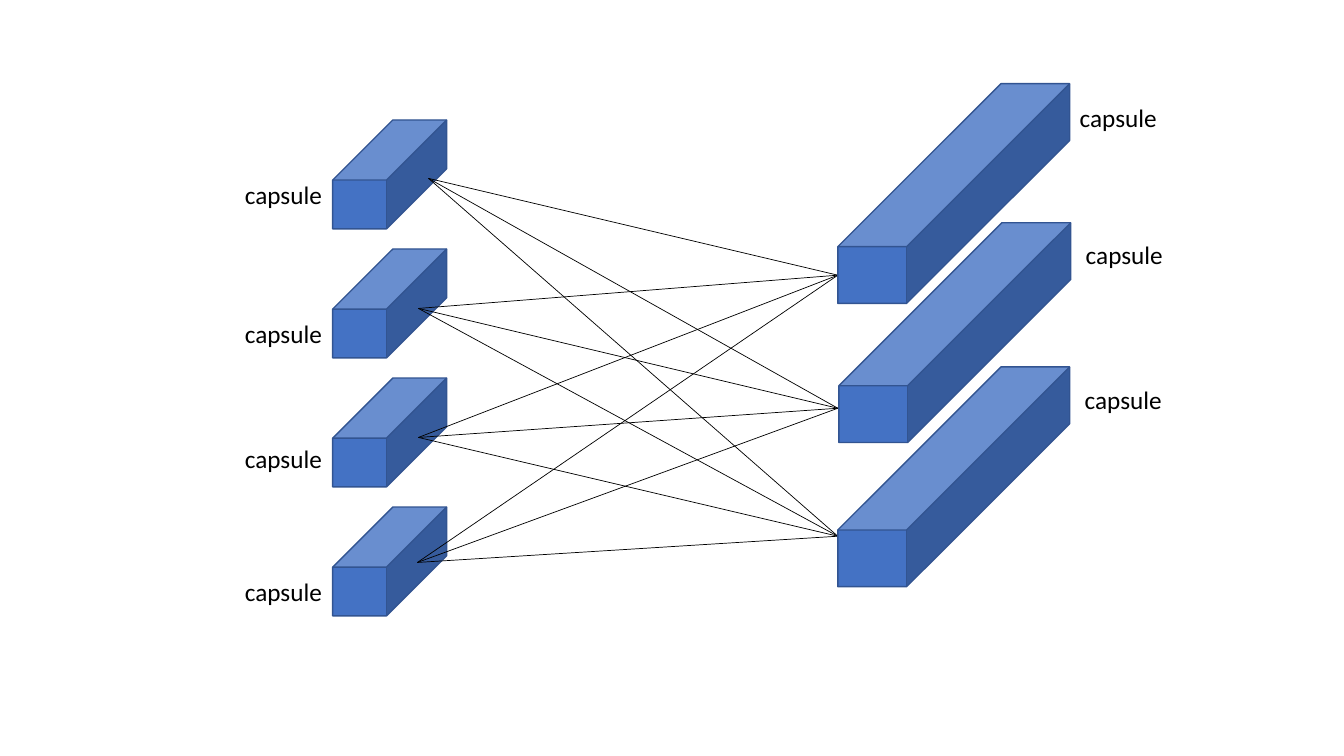
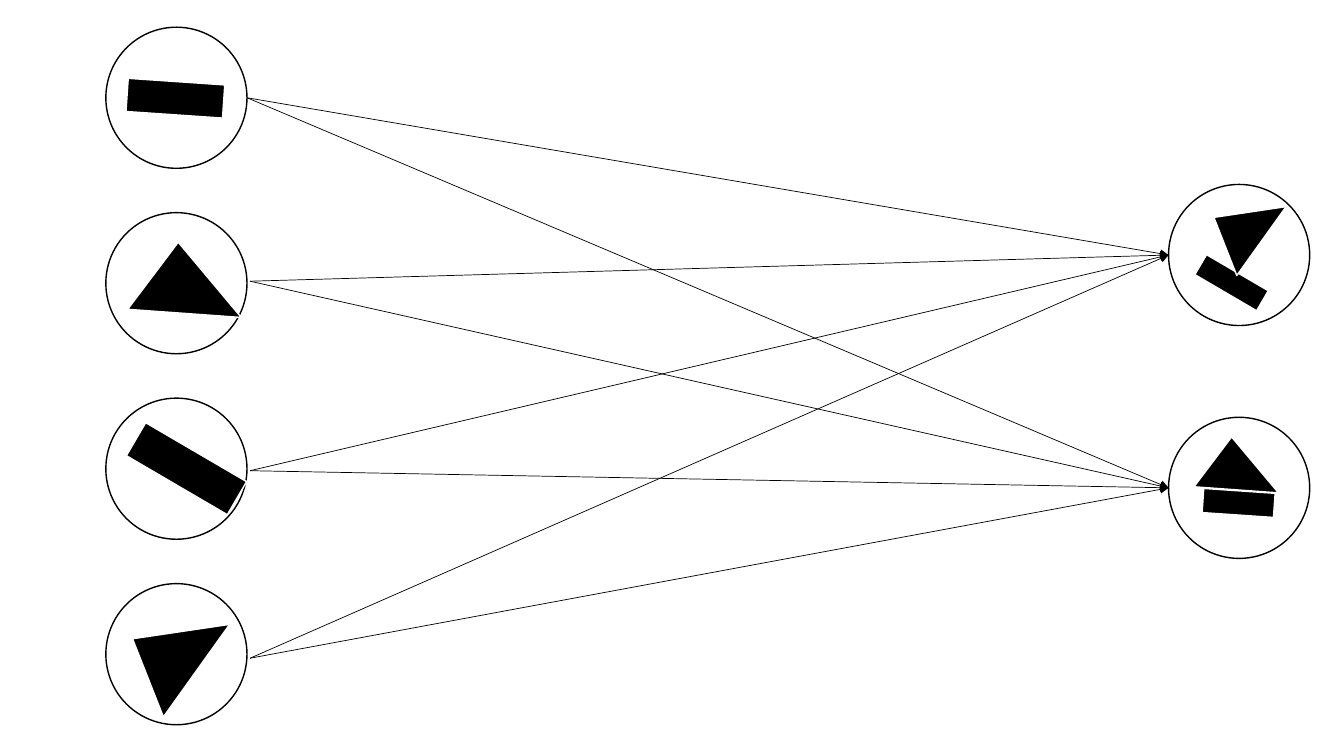
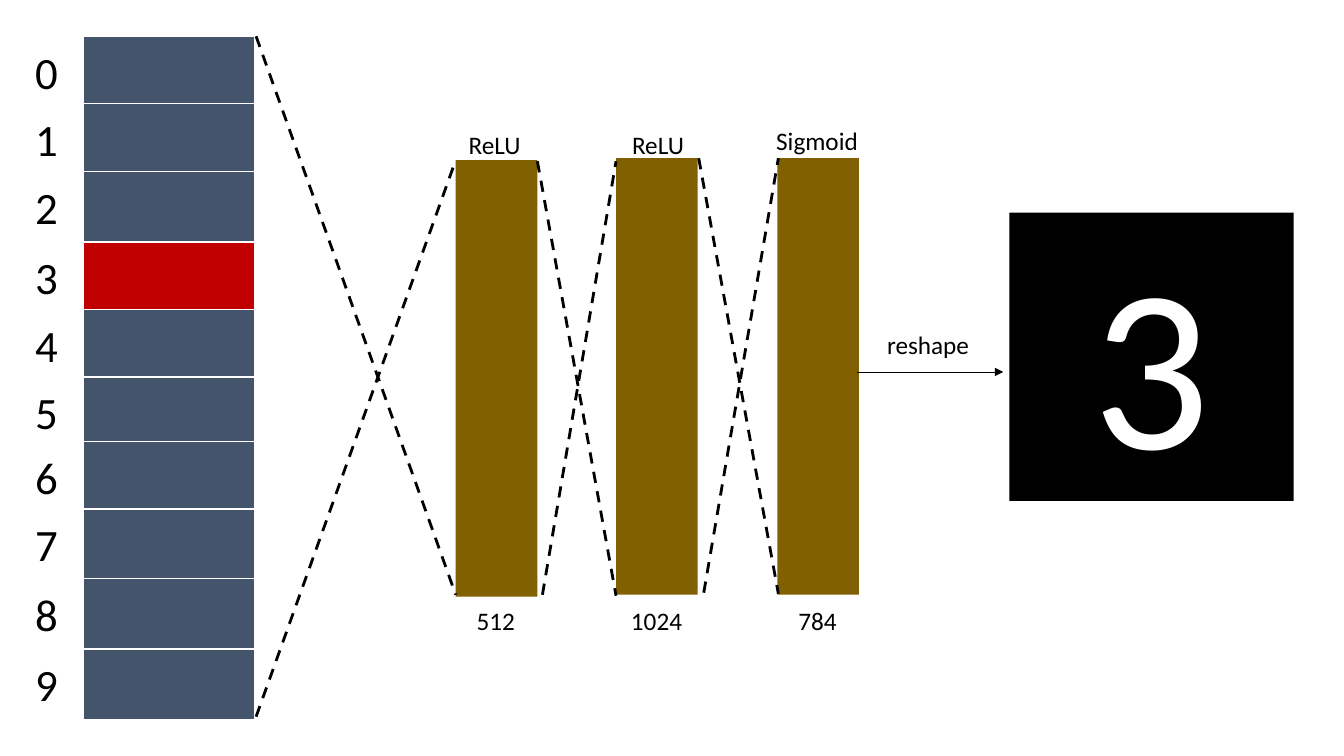
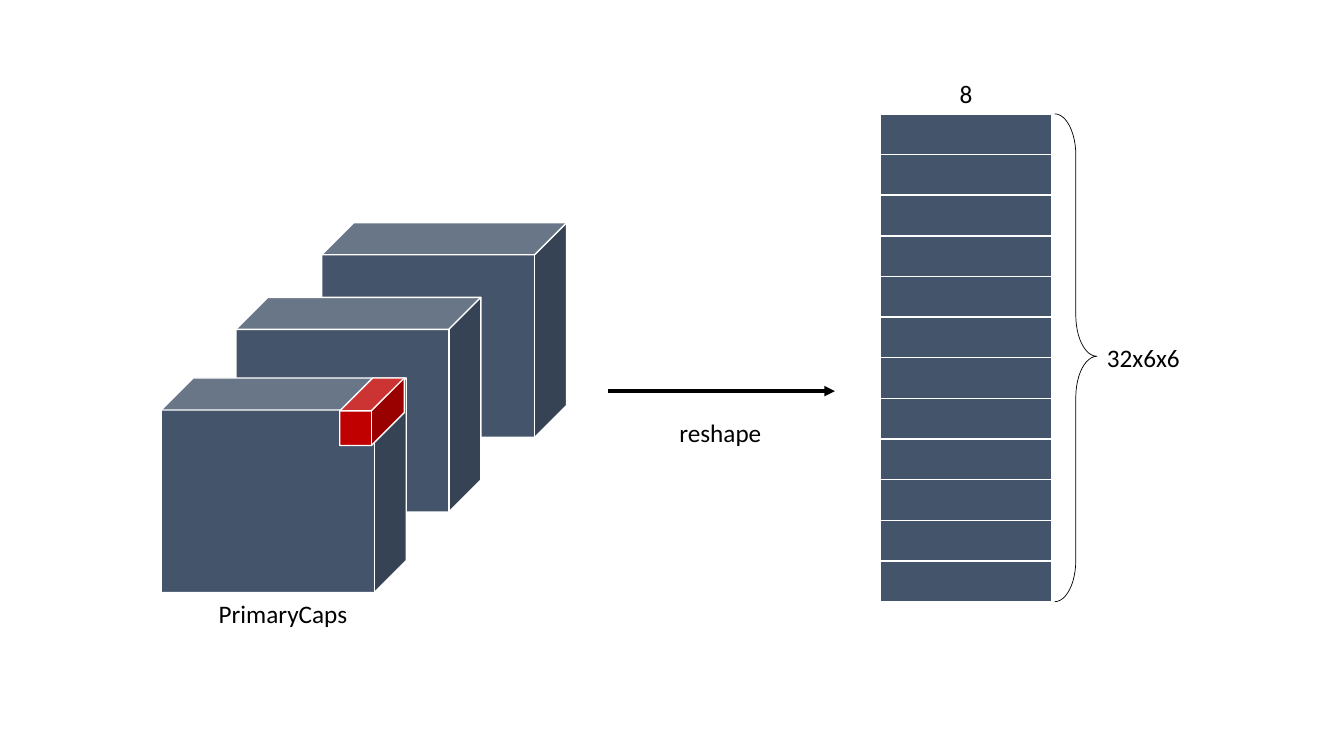
from dataclasses import dataclass

import lxml.etree
import pptx
import pptx.dml.color
import pptx.enum.dml
import pptx.enum.shapes
import pptx.enum.text
import pptx.oxml.ns
import pptx.util

Inches = pptx.util.Inches
Pt = pptx.util.Pt
RGBColor = pptx.dml.color.RGBColor
Preset = pptx.enum.shapes.MSO_SHAPE

# Shared style
BLACK = RGBColor(0x00, 0x00, 0x00)
WHITE = RGBColor(0xFF, 0xFF, 0xFF)
BLUE = RGBColor(0x44, 0x72, 0xC4)
DARK_BLUE = RGBColor(0x32, 0x54, 0x91)
SLATE = RGBColor(0x44, 0x54, 0x6A)
RED = RGBColor(0xC0, 0x00, 0x00)
BROWN = RGBColor(0x80, 0x60, 0x00)
FONT = "Calibri"
LABEL_HEIGHT = 0.4


@dataclass
class Box:
    """A rectangle in inches."""
    left: float
    top: float
    width: float
    height: float

    @property
    def right(self):
        return self.left + self.width

    @property
    def bottom(self):
        return self.top + self.height

    def inner(self, left, top, width, height):
        """A box placed relative to this one's corner."""
        return Box(self.left + left, self.top + top, width, height)


# Basic parts
def set_font(paragraph, size, color):
    paragraph.font.name = FONT
    paragraph.font.size = Pt(size)
    paragraph.font.color.rgb = color


def add_shape(slide, preset, box, fill=None, line=None, line_width=1,
              adjustments=(), rotation=0):
    shape = slide.shapes.add_shape(preset, Inches(box.left), Inches(box.top),
                                   Inches(box.width), Inches(box.height))
    shape.shadow.inherit = False
    shape.rotation = rotation
    for index, value in enumerate(adjustments):
        shape.adjustments[index] = value
    if fill is None:
        shape.fill.background()
    else:
        shape.fill.solid()
        shape.fill.fore_color.rgb = fill
    if line is None:
        shape.line.fill.background()
    else:
        shape.line.color.rgb = line
        shape.line.width = Pt(line_width)
    return shape


def add_label(slide, text, left, top, width, height=LABEL_HEIGHT, size=18):
    label = slide.shapes.add_textbox(Inches(left), Inches(top),
                                     Inches(width), Inches(height))
    frame = label.text_frame
    frame.word_wrap = False
    frame.auto_size = pptx.enum.text.MSO_AUTO_SIZE.SHAPE_TO_FIT_TEXT
    frame.text = text
    set_font(frame.paragraphs[0], size, BLACK)


def add_line(slide, start, end, width=0.5, dashed=False, arrow=False):
    connector = slide.shapes.add_connector(
        pptx.enum.shapes.MSO_CONNECTOR.STRAIGHT,
        *(Inches(value) for value in (*start, *end)))
    connector.line.color.rgb = BLACK
    connector.line.width = Pt(width)
    if dashed:
        connector.line.dash_style = pptx.enum.dml.MSO_LINE.DASH
    properties = connector._element.spPr
    qualified = pptx.oxml.ns.qn
    if arrow:
        lxml.etree.SubElement(properties.find(qualified("a:ln")),
                              qualified("a:tailEnd"), type="triangle")
    lxml.etree.SubElement(properties, qualified("a:effectLst"))


def connect_all(slide, starts, ends, arrow=False):
    for start in starts:
        for end in ends:
            add_line(slide, start, end, arrow=arrow)


# Slide 1: capsule layers
def add_input_capsules(slide, box):
    for row, label_top in enumerate((0.54, 1.92, 3.16, 4.48)):
        cube = box.inner(0.97, row * 1.28, 1.13, 1.08)
        add_shape(slide, Preset.CUBE, cube, BLUE, DARK_BLUE, adjustments=[0.552])
        add_label(slide, "capsule", box.left, box.top + label_top, 0.98)


def add_output_capsules(slide, box):
    cubes = ((0, 0), (0.01, 1.38), (0, 2.81))
    labels = ((2.3, 0.14), (2.36, 1.5), (2.35, 2.93))
    for cube, label in zip(cubes, labels):
        add_shape(slide, Preset.CUBE, box.inner(*cube, 2.3, 2.18), BLUE,
                  DARK_BLUE, adjustments=[0.742])
        add_label(slide, "capsule", box.left + label[0], box.top + label[1], 0.98)


def build_capsule_slide(slide):
    add_input_capsules(slide, Box(2.33, 1.19, 2.1, 4.92))
    starts = ((4.25, 1.77), (4.15, 3.06), (4.15, 4.34), (4.14, 5.58))
    connect_all(slide, starts, [(8.31, top) for top in (2.73, 4.05, 5.32)])
    add_output_capsules(slide, Box(8.31, 0.83, 3.33, 4.99))


# Slide 2: simple figures combined into composed figures
def add_figure(slide, preset, box, rotation):
    adjustments = [0.401] if preset == Preset.ISOSCELES_TRIANGLE else []
    add_shape(slide, preset, box, BLACK, WHITE, adjustments=adjustments,
              rotation=rotation)


def add_circle(slide, box):
    add_shape(slide, Preset.OVAL, box, line=BLACK)


def add_simple_figures(slide, box):
    figures = (
        (Preset.RECTANGLE, (0.21, 0.54, 0.96, 0.33), 3.9),
        (Preset.ISOSCELES_TRIANGLE, (0.24, 0.3, 1.13, 0.7), 4.1),
        (Preset.RECTANGLE, (0.22, 0.51, 1.16, 0.38), 30.3),
        (Preset.ISOSCELES_TRIANGLE, (0.05, 0.31, 1.13, 0.7), 305.6),
    )
    for row, (preset, place, rotation) in enumerate(figures):
        circle = box.inner(0, row * 1.84, box.width, box.width)
        add_circle(slide, circle)
        add_figure(slide, preset, circle.inner(*place), rotation)


def add_composed_figures(slide, box):
    figures = (
        ((0.27, 0.86, 0.71, 0.23), 30.3, (0.29, 0.15, 0.84, 0.52), 305.6),
        ((0.34, 0.73, 0.71, 0.24), 3.9, (0.27, 0.2, 0.84, 0.52), 4.1),
    )
    for row, (bar, bar_turn, triangle, triangle_turn) in enumerate(figures):
        circle = box.inner(0, row * 2.31, box.width, box.width)
        add_figure(slide, Preset.RECTANGLE, circle.inner(*bar), bar_turn)
        add_figure(slide, Preset.ISOSCELES_TRIANGLE, circle.inner(*triangle),
                   triangle_turn)
        add_circle(slide, circle)


def build_figure_slide(slide):
    add_simple_figures(slide, Box(1.05, 0.27, 1.4, 6.92))
    add_composed_figures(slide, Box(11.59, 1.83, 1.4, 3.71))
    starts = ((2.45, 0.97), (2.48, 2.79), (2.48, 4.67), (2.48, 6.53))
    connect_all(slide, starts, ((11.59, 2.53), (11.59, 4.84)), arrow=True)


# Slide 3: decoder
def add_digit_rows(slide, box, selected):
    tops = (0, 0.67, 1.34, 2.04, 2.71, 3.38, 4.02, 4.69, 5.38, 6.08)
    for digit, top in enumerate(tops):
        add_shape(slide, Preset.RECTANGLE, box.inner(0.58, top, 1.7, 0.7),
                  RED if digit == selected else SLATE, WHITE)
        add_label(slide, str(digit), box.left, box.top + top + 0.03, 0.43,
                  0.64, size=32)


def add_dense_layer(slide, box, activation, activation_place, size, size_place):
    """Bar with labels; each place is (offset from the bar, top, width)."""
    add_shape(slide, Preset.RECTANGLE, box, BROWN)
    for text, (offset, top, width) in ((activation, activation_place),
                                       (size, size_place)):
        add_label(slide, text, box.left + offset, top, width)


def add_crossing(slide, upper, lower, end_left, end_top, end_bottom):
    """Dashed lines from both ends of one layer to the far ends of the next."""
    add_line(slide, upper, (end_left, end_bottom), 2, dashed=True)
    add_line(slide, lower, (end_left, end_top), 2, dashed=True)


def add_digit_output(slide, box, digit):
    shape = add_shape(slide, Preset.RECTANGLE, box, BLACK)
    frame = shape.text_frame
    frame.word_wrap = True
    frame.vertical_anchor = pptx.enum.text.MSO_ANCHOR.MIDDLE
    frame.text = digit
    frame.paragraphs[0].alignment = pptx.enum.text.PP_ALIGN.CENTER
    set_font(frame.paragraphs[0], 166, WHITE)


def build_decoder_slide(slide):
    add_digit_rows(slide, Box(0.25, 0.36, 2.28, 6.78), selected=3)
    layers = (
        (4.52, 1.59, "ReLU", (0.03, 1.23, 0.72), "512", (0.11, 5.96, 0.59)),
        (6.11, 1.57, "ReLU", (0.06, 1.23, 0.72), "1024", (0.05, 5.96, 0.71)),
        (7.71, 1.57, "Sigmoid", (-0.11, 1.19, 1.02), "784", (0.11, 5.96, 0.59)),
    )
    for left, top, *labels in layers:
        add_dense_layer(slide, Box(left, top, 0.81, 4.33), *labels)
    add_crossing(slide, (2.54, 0.36), (2.54, 7.11), 4.52, 1.59, 5.9)
    add_crossing(slide, (5.33, 1.6), (5.38, 5.9), 6.11, 1.6, 5.91)
    add_crossing(slide, (6.93, 1.57), (6.98, 5.88), 7.72, 1.57, 5.89)
    add_digit_output(slide, Box(10.01, 2.11, 2.82, 2.86), "3")
    add_label(slide, "reshape", 8.7, 3.22, 1.02)
    add_line(slide, (8.5, 3.69), (9.95, 3.69), arrow=True)


# Slide 4: primary capsules reshaped into vectors
def add_primary_capsules(slide, box):
    for left, top in ((1.59, 0), (0.74, 0.74), (0, 1.54)):
        add_shape(slide, Preset.CUBE, box.inner(left, top, 2.43, 2.13), SLATE,
                  WHITE, adjustments=[0.149])
    add_shape(slide, Preset.CUBE, box.inner(1.77, 1.54, 0.64, 0.67), RED,
              WHITE, adjustments=[0.511])
    add_label(slide, "PrimaryCaps", box.left + 0.47, box.bottom + 0.01, 1.49)


def add_vector_stack(slide, box, count):
    pitch = box.height / count
    for row in range(count):
        add_shape(slide, Preset.RECTANGLE,
                  box.inner(0, row * pitch, box.width, pitch), SLATE, WHITE)
    add_label(slide, "8", box.left + 0.69, box.top - LABEL_HEIGHT, 0.33)
    add_label(slide, "32x6x6", box.right + 0.45, box.top + 2.22, 0.93)
    add_shape(slide, Preset.RIGHT_BRACE,
              box.inner(box.width + 0.03, 0, 0.42, box.height), line=BLACK,
              line_width=0.5, adjustments=[0.976, 0.497])


def build_reshape_slide(slide):
    add_primary_capsules(slide, Box(1.6, 2.21, 4.02, 3.67))
    add_line(slide, (6.03, 3.88), (8.28, 3.88), 2.5, arrow=True)
    add_label(slide, "reshape", 6.64, 4.09, 1.02)
    add_vector_stack(slide, Box(8.73, 1.13, 1.7, 4.84), count=12)


# Presentation
presentation = pptx.Presentation()
presentation.slide_width = Inches(13.33)
presentation.slide_height = Inches(7.5)
blank_layout = presentation.slide_layouts[6]
for build_slide in (build_capsule_slide, build_figure_slide,
                    build_decoder_slide, build_reshape_slide):
    build_slide(presentation.slides.add_slide(blank_layout))
presentation.save("out.pptx")
